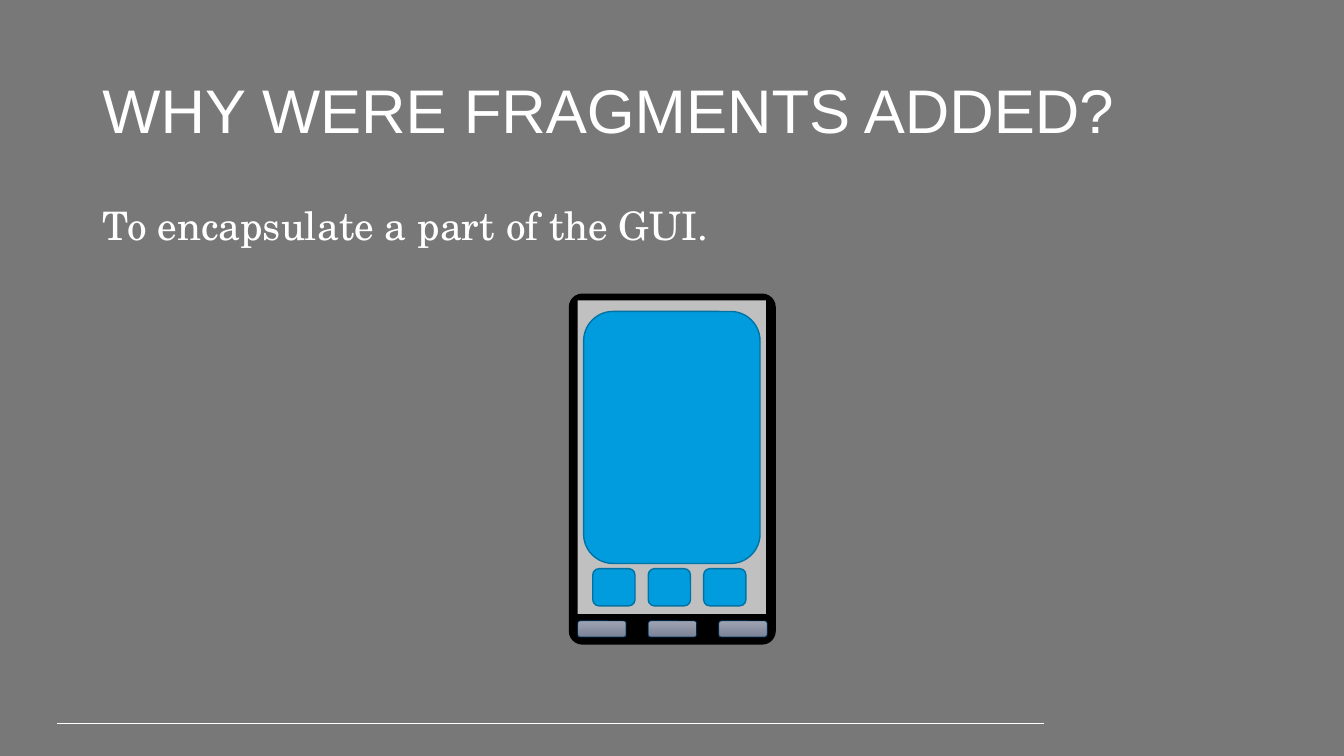
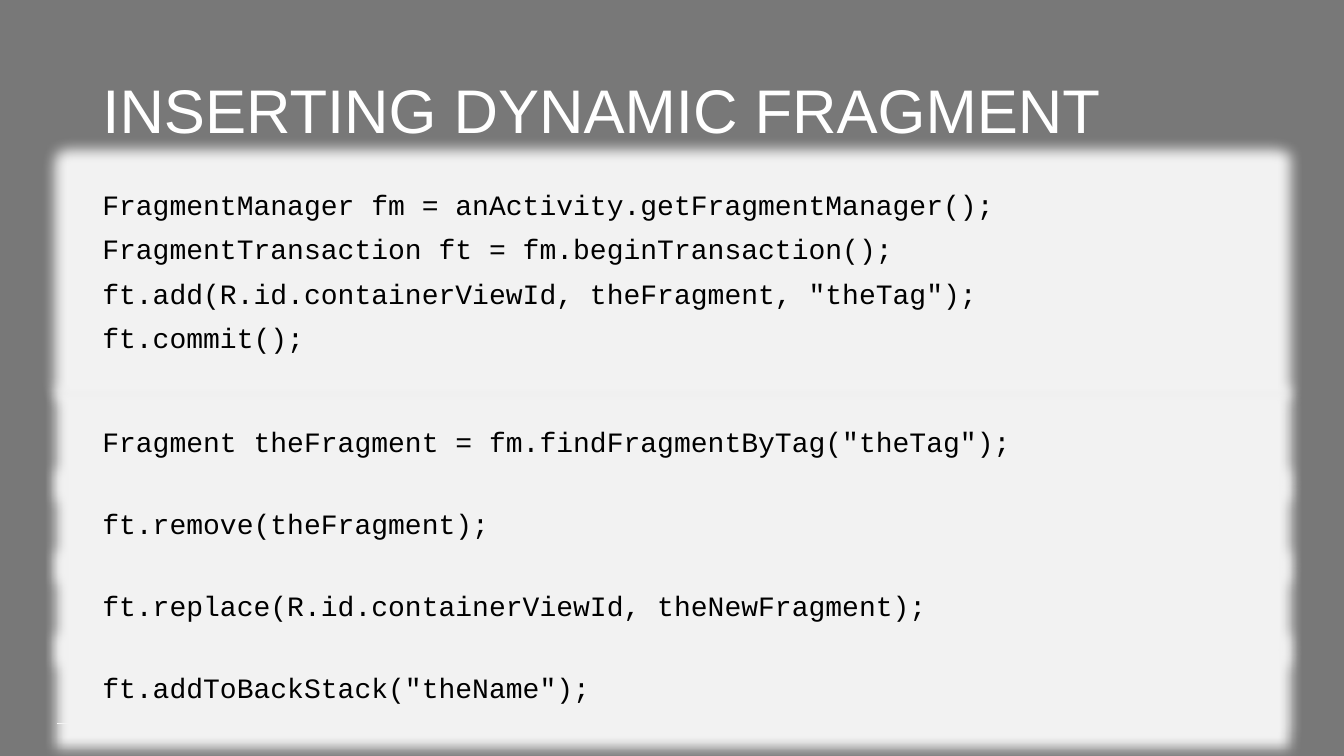
from dataclasses import dataclass

from lxml import etree
from pptx import Presentation
from pptx.dml.color import RGBColor
from pptx.enum import shapes as es, text as et
from pptx.oxml import ns
from pptx.util import Pt

COLORS = {
    "background": "787878", "white": "FFFFFF", "black": "000000",
    "screen": "C0C0C0", "view": "009CDE", "view_edge": "0073A4",
    "button_top": "9DA3B1", "button_bottom": "7C8397", "button_edge": "003865",
    "code": "F2F2F2",
}
LEFT, WIDTH = 66, 828
CODE_TOP, CODE_STEP, CODE_HEIGHT = 302.4, 58.6, 28.8
ROUNDED = es.MSO_SHAPE.ROUNDED_RECTANGLE
RECTANGLE = es.MSO_SHAPE.RECTANGLE


@dataclass(frozen=True)
class Box:
    left: float
    top: float
    width: float
    height: float

    def lengths(self):
        return [Pt(v) for v in (self.left, self.top, self.width, self.height)]

    def shifted(self, dx: float):
        return Box(self.left + dx, self.top, self.width, self.height)


@dataclass(frozen=True)
class CodeBlock:
    box: Box
    lines: tuple[str, ...]


def rgb(name: str) -> RGBColor:
    return RGBColor.from_string(COLORS[name])


def add_effect(shape, kind: str, color: str, alpha: int, **attributes: int):
    """Put a glow or an outer shadow in the shape's effect list."""
    effects = shape._element.spPr.find(ns.qn("a:effectLst"))
    effect = etree.SubElement(effects, ns.qn(f"a:{kind}"),
                              {key: str(value) for key, value in attributes.items()})
    tint = etree.SubElement(effect, ns.qn("a:srgbClr"), val=COLORS[color])
    etree.SubElement(tint, ns.qn("a:alpha"), val=str(alpha * 1000))


def add_panel(parent, kind, box: Box, fill: str, edge: str = "", edge_width: float = 1):
    panel = parent.add_shape(kind, *box.lengths())
    panel.shadow.inherit = False
    panel.fill.solid()
    panel.fill.fore_color.rgb = rgb(fill)
    if edge:
        panel.line.color.rgb = rgb(edge)
        panel.line.width = Pt(edge_width)
    else:
        panel.line.fill.background()
    return panel


def write(shape, lines, font: str, size: float, color: str):
    frame = shape.text_frame
    frame.word_wrap = True
    frame.text = "\n".join(lines)
    for index, paragraph in enumerate(frame.paragraphs):
        paragraph.alignment = et.PP_ALIGN.LEFT
        paragraph.line_spacing = 0.9
        paragraph.space_before = Pt(10 if index else 0)
        paragraph.font.name = font
        paragraph.font.size = Pt(size)
        paragraph.font.color.rgb = rgb(color)
    return frame


def add_slide(prs, heading: str):
    """Add a slide with its heading and the footer rule."""
    slide = prs.slides.add_slide(prs.slide_layouts[5])
    title = slide.shapes.title
    title.left, title.top, title.width, title.height = Box(LEFT, 28.8, WIDTH, 104.4).lengths()
    frame = write(title, [heading], "Arial", 44, "white")
    frame.vertical_anchor = et.MSO_ANCHOR.MIDDLE
    rule = slide.shapes.add_connector(es.MSO_CONNECTOR.STRAIGHT,
                                      Pt(41), Pt(517), Pt(746), Pt(517))
    rule.line.color.rgb = rgb("white")
    rule.line.width = Pt(0.75)
    etree.SubElement(rule._element.spPr, ns.qn("a:effectLst"))
    return slide


def add_phone(slide):
    phone = slide.shapes.add_group_shape().shapes
    case = add_panel(phone, ROUNDED, Box(406.8, 210.2, 146.9, 249.8), "black", "black")
    case.adjustments[0] = 0.063
    screen = add_panel(phone, RECTANGLE, Box(412.6, 214.6, 134.6, 223.9), "screen")
    add_effect(screen, "outerShdw", "black", 63,
               blurRad=Pt(4.5), dist=Pt(1.5), dir=90 * 60000)
    first_button = Box(412.6, 443.5, 34.6, 11.5)
    first_icon = Box(423.4, 406.2, 30.2, 26.6)
    for column in range(3):
        button = add_panel(phone, ROUNDED, first_button.shifted(50.4 * column),
                           "button_top", "button_edge", 0.5)
        button.fill.gradient()
        button.fill.gradient_angle = 270
        for stop, color in zip(button.fill.gradient_stops, ("button_top", "button_bottom")):
            stop.color.rgb = rgb(color)
        add_panel(slide.shapes, ROUNDED, first_icon.shifted(39.6 * column),
                  "view", "view_edge")
    add_panel(slide.shapes, ROUNDED, Box(416.9, 222.5, 126, 180), "view", "view_edge")


def add_code(slide, block: CodeBlock):
    panel = add_panel(slide.shapes, RECTANGLE, block.box, "code")
    add_effect(panel, "glow", "code", 100, rad=Pt(18))
    frame = write(panel, block.lines, "Courier New", 20, "black")
    frame.vertical_anchor = et.MSO_ANCHOR.TOP


def build_purpose(prs):
    slide = add_slide(prs, "WHY WERE FRAGMENTS ADDED?")
    answer = slide.shapes.add_textbox(*Box(LEFT, 144, WIDTH, 38.2).lengths())
    write(answer, ["To encapsulate a part of the GUI."], "TeX Gyre Schola", 28, "white")
    add_phone(slide)


def build_insertion(prs):
    slide = add_slide(prs, "INSERTING DYNAMIC FRAGMENT")
    add_code(slide, CodeBlock(Box(LEFT, 133.2, WIDTH, 125.3), (
        "FragmentManager fm = anActivity.getFragmentManager();",
        "FragmentTransaction ft = fm.beginTransaction();",
        'ft.add(R.id.containerViewId, theFragment, "theTag");',
        "ft.commit();",
    )))
    calls = (
        'Fragment theFragment = fm.findFragmentByTag("theTag");',
        "ft.remove(theFragment);",
        "ft.replace(R.id.containerViewId, theNewFragment);",
        'ft.addToBackStack("theName");',
    )
    for row, call in enumerate(calls):
        box = Box(LEFT, CODE_TOP + CODE_STEP * row, WIDTH, CODE_HEIGHT)
        add_code(slide, CodeBlock(box, (call,)))


def main():
    prs = Presentation()
    prs.slide_width, prs.slide_height = Pt(960), Pt(540)
    background = prs.slide_master.background.fill
    background.solid()
    background.fore_color.rgb = rgb("background")
    build_purpose(prs)
    build_insertion(prs)
    prs.save("out.pptx")


if __name__ == "__main__":
    main()
